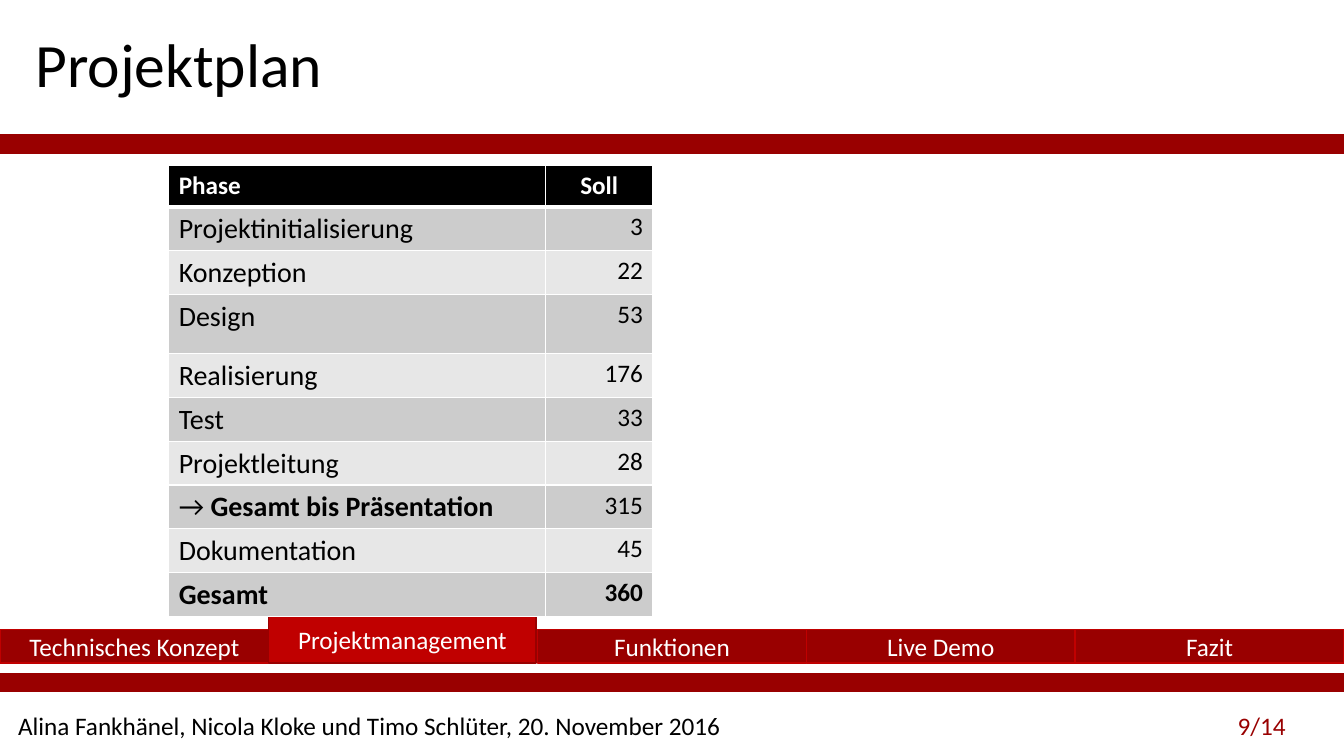
import pptx
import pptx.dml.color
import pptx.enum.shapes
import pptx.enum.text
import pptx.oxml
import pptx.oxml.ns
import pptx.util

Pt = pptx.util.Pt
RGBColor = pptx.dml.color.RGBColor
ALIGN = pptx.enum.text.PP_ALIGN
ANCHOR = pptx.enum.text.MSO_ANCHOR

BLACK = RGBColor(0x00, 0x00, 0x00)
WHITE = RGBColor(0xFF, 0xFF, 0xFF)
DARK_RED = RGBColor(0x99, 0x00, 0x00)
RED = RGBColor(0xC0, 0x00, 0x00)
DARK_BAND = RGBColor(0xCC, 0xCC, 0xCC)
LIGHT_BAND = RGBColor(0xE7, 0xE7, 0xE7)

FONT = "Calibri"
SLIDE_W, SLIDE_H = 960, 540
TABS = ["Technisches Konzept", "Projektmanagement", "Funktionen", "Live Demo", "Fazit"]
ACTIVE_TAB = "Projektmanagement"
PHASES = [
    ([("Projektinitialisierung", False)], "3"),
    ([("Konzeption", False)], "22"),
    ([("Design", False)], "53"),
    ([("Realisierung", False)], "176"),
    ([("Test", False)], "33"),
    ([("Projektleitung", False)], "28"),
    ([("→ ", False), ("Gesamt bis Präsentation", True)], "315"),
    ([("Dokumentation", False)], "45"),
    ([("Gesamt", True)], "360"),
]


def add_run(p, text, size, color, bold=False):
    r = p.add_run()
    r.text = text
    r.font.name = FONT
    r.font.size = Pt(size)
    r.font.bold = bold
    r.font.color.rgb = color


def add_title(s, text):
    sp = s.shapes.title
    sp.left, sp.top, sp.width, sp.height = Pt(18), Pt(1.5), Pt(765.5), Pt(93.5)
    tf = sp.text_frame
    tf.auto_size = pptx.enum.text.MSO_AUTO_SIZE.NONE
    tf.vertical_anchor = ANCHOR.MIDDLE
    p = tf.paragraphs[0]
    p.alignment = ALIGN.LEFT
    p.line_spacing = 0.9
    add_run(p, text, 44, BLACK)


def add_bar(s, x, y, w, h, fill, line):
    sp = s.shapes.add_shape(
        pptx.enum.shapes.MSO_SHAPE.RECTANGLE, Pt(x), Pt(y), Pt(w), Pt(h))
    sp.shadow.inherit = False
    sp.fill.solid()
    sp.fill.fore_color.rgb = fill
    sp.line.color.rgb = line
    sp.line.width = Pt(1)
    return sp


def add_tab(s, text, x, y, w, h, fill, line):
    tf = add_bar(s, x, y, w, h, fill, line).text_frame
    tf.word_wrap = True
    tf.vertical_anchor = ANCHOR.MIDDLE
    p = tf.paragraphs[0]
    p.alignment = ALIGN.CENTER
    add_run(p, text, 18, WHITE)


def add_navigation(s):
    w = SLIDE_W / len(TABS)
    for i, name in enumerate(TABS):
        if name != ACTIVE_TAB:
            add_tab(s, name, i * w, 449.5, w, 24, DARK_RED, RED)
    add_tab(s, ACTIVE_TAB, TABS.index(ACTIVE_TAB) * w, 439.2, w - 1, 34.5, RED, DARK_RED)


def add_label(s, text, x, w, color):
    tf = s.shapes.add_textbox(Pt(x), Pt(503.5), Pt(w), Pt(29)).text_frame
    tf.word_wrap = True
    add_run(tf.paragraphs[0], text, 18, color)


def set_borders(cell, top=1, bottom=1):
    tc_pr = cell._tc.get_or_add_tcPr()
    for side, width in (("L", 1), ("R", 1), ("T", top), ("B", bottom)):
        tc_pr.append(pptx.oxml.parse_xml(
            f'<a:ln{side} {pptx.oxml.ns.nsdecls("a")} w="{Pt(width)}">'
            f'<a:solidFill><a:srgbClr val="{WHITE}"/></a:solidFill></a:ln{side}>'))


def fill_cell(cell, runs, size, color, align, fill, top=1, bottom=1):
    set_borders(cell, top, bottom)
    cell.fill.solid()
    cell.fill.fore_color.rgb = fill
    p = cell.text_frame.paragraphs[0]
    p.alignment = align
    for text, bold in runs:
        add_run(p, text, size, color, bold)


def add_phase_table(s):
    row_h = 29.5
    table = s.shapes.add_table(
        len(PHASES) + 1, 2, Pt(120.5), Pt(118.3), Pt(346), Pt(321)).table
    table.columns[0].width, table.columns[1].width = Pt(269), Pt(77)
    for row in table.rows:
        row.height = Pt(row_h)
    table.rows[3].height = Pt(42.5)
    for col, (head, align) in enumerate((("Phase", ALIGN.LEFT), ("Soll", ALIGN.CENTER))):
        fill_cell(table.cell(0, col), [(head, True)], 18, WHITE, align, BLACK, bottom=3)
    for i, (runs, hours) in enumerate(PHASES, 1):
        fill = DARK_BAND if i % 2 else LIGHT_BAND
        top = 3 if i == 1 else 1
        fill_cell(table.cell(i, 0), runs, 20, BLACK, ALIGN.LEFT, fill, top)
        is_total = i == len(PHASES)
        fill_cell(table.cell(i, 1), [(hours, is_total)], 18, BLACK, ALIGN.RIGHT, fill, top)


def main():
    prs = pptx.Presentation()
    prs.slide_width, prs.slide_height = Pt(SLIDE_W), Pt(SLIDE_H)
    s = prs.slides.add_slide(prs.slide_layouts[5])
    for y in (96.5, 481):
        add_bar(s, 0, y, SLIDE_W, 13, DARK_RED, DARK_RED)
    add_label(s, "Alina Fankhänel, Nicola Kloke und Timo Schlüter, 20. November 2016",
              5.8, 556.5, BLACK)
    add_label(s, "9/14", 877, 77, DARK_RED)
    add_title(s, "Projektplan")
    add_navigation(s)
    add_phase_table(s)
    prs.save("out.pptx")


if __name__ == "__main__":
    main()
